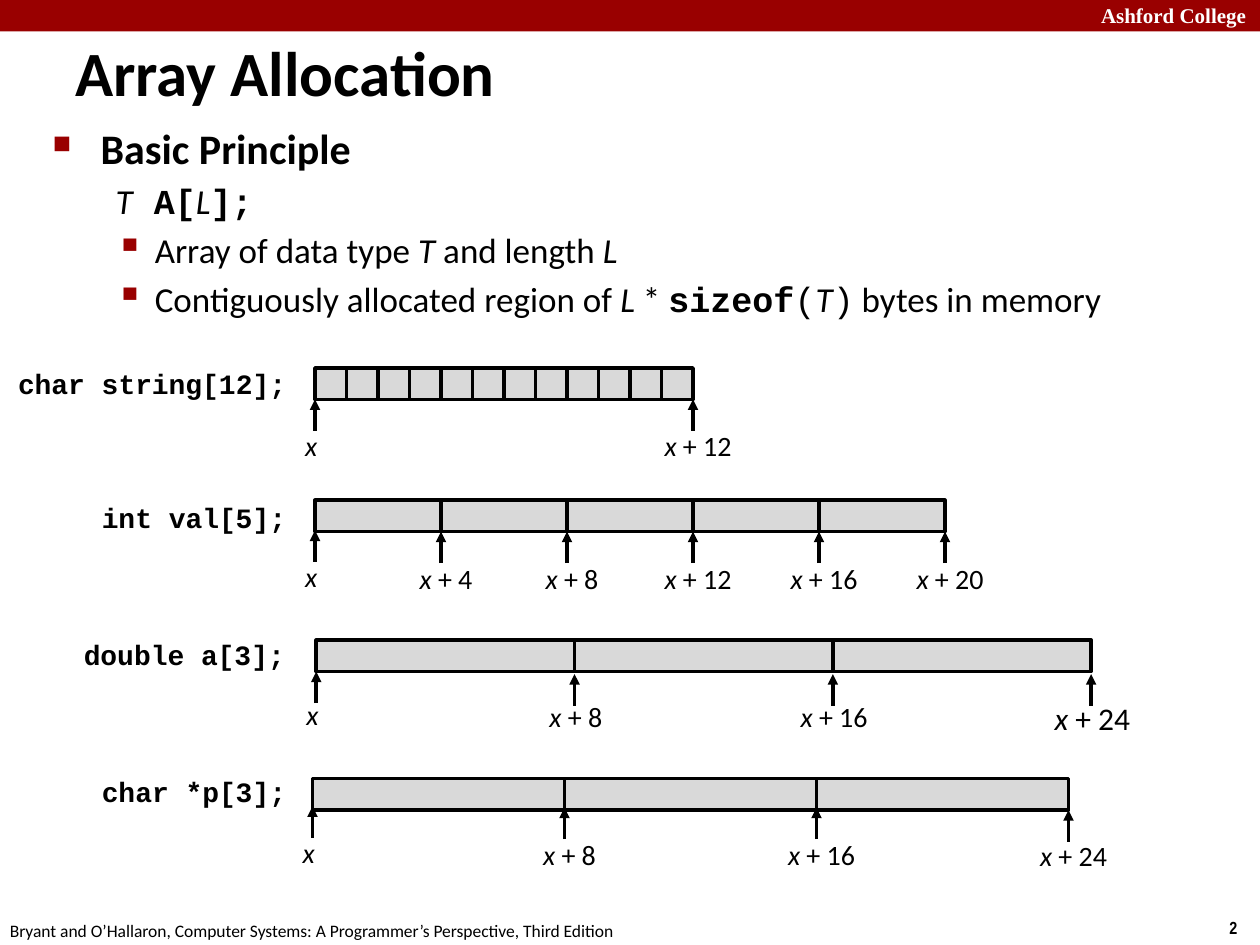
from lxml.etree import SubElement
from pptx import Presentation
from pptx.dml.color import RGBColor
from pptx.enum.shapes import MSO_CONNECTOR as CONNECTOR, MSO_SHAPE as SHAPE
from pptx.enum.text import MSO_ANCHOR as ANCHOR, MSO_AUTO_SIZE as AUTO_SIZE, PP_ALIGN as ALIGN
from pptx.oxml.ns import qn
from pptx.util import Pt

PX = 9144
RED = RGBColor(0x99, 0x00, 0x00)
GRAY = RGBColor(0xD9, 0xD9, 0xD9)
BLACK = RGBColor(0, 0, 0)
WHITE = RGBColor(255, 255, 255)
SANS, CODE, SERIF, NARROW = "Calibri", "Courier New", "Times New Roman", "Arial Narrow"
ITALIC = {"italic": True}
BOLD_CODE = {"font": CODE, "bold": True}
PLAIN_CODE = {"font": CODE}
CELL_HEIGHT = 25
ARROW_LENGTH = 25


def px(*lengths):
    return [length * PX for length in lengths]


def add_runs(paragraph, runs, size, font=SANS, color=BLACK, bold=False, italic=False):
    for text, style in runs:
        run = paragraph.add_run()
        run.text = text
        run.font.size = Pt(size)
        run.font.name = style.get("font", font)
        run.font.bold = style.get("bold", bold)
        run.font.italic = style.get("italic", italic)
        run.font.color.rgb = color


def add_text(shapes, box, text, align=ALIGN.LEFT, wrap=True, grow=True,
             anchor=ANCHOR.TOP, **style):
    frame = shapes.add_textbox(*px(*box)).text_frame
    frame.word_wrap = wrap
    frame.auto_size = AUTO_SIZE.SHAPE_TO_FIT_TEXT if grow else AUTO_SIZE.NONE
    frame.vertical_anchor = anchor
    paragraph = frame.paragraphs[0]
    paragraph.alignment = align
    runs = [(text, {})] if isinstance(text, str) else text
    add_runs(paragraph, runs, **style)
    return frame


def add_rectangle(shapes, box, fill, outlined=True):
    shape = shapes.add_shape(SHAPE.RECTANGLE, *px(*box))
    shape.shadow.inherit = False
    shape.fill.solid()
    shape.fill.fore_color.rgb = fill
    if outlined:
        shape.line.color.rgb = BLACK
        shape.line.width = Pt(2)
    else:
        shape.line.fill.background()


def add_up_arrow(shapes, x, tip):
    arrow = shapes.add_connector(CONNECTOR.STRAIGHT, *px(x, tip + ARROW_LENGTH, x, tip))
    arrow.line.color.rgb = BLACK
    arrow.line.width = Pt(2)
    properties = arrow.element.spPr
    SubElement(properties.find(qn("a:ln")), qn("a:tailEnd"), type="triangle")
    SubElement(properties, qn("a:effectLst"))


def set_indent(paragraph, margin, hanging, bullet=None, bullet_percent=100):
    properties = paragraph._p.get_or_add_pPr()
    properties.set("marL", str(margin * PX))
    properties.set("indent", str(-hanging * PX))
    if bullet:
        color = SubElement(properties, qn("a:buClr"))
        SubElement(color, qn("a:srgbClr"), val=str(RED))
        SubElement(properties, qn("a:buSzPct"), val=str(bullet_percent * 1000))
        SubElement(properties, qn("a:buChar"), char=bullet)


def draw_frame(slide, width, height):
    shapes = slide.shapes
    add_rectangle(shapes, (0, 0, width, 25), RED, outlined=False)
    add_text(shapes, (width - 136, -3, 143, 30), "Ashford College",
             size=12, font=SERIF, color=WHITE, bold=True)
    add_text(shapes, (width - 34, height - 27, 34, 27), "2",
             wrap=False, size=10, font=NARROW, bold=True)
    add_text(shapes, (-2, height - 25, 508, 27),
             "Bryant and O’Hallaron, Computer Systems: A Programmer’s Perspective, Third Edition",
             wrap=False, size=10)
    add_text(shapes, (50, 25, 650, 63), "Array Allocation",
             grow=False, anchor=ANCHOR.MIDDLE, size=36, bold=True)


def draw_principle(slide, box):
    frame = add_text(slide.shapes, box, "Basic Principle", grow=False, size=24, bold=True)
    heading = frame.paragraphs[0]
    heading.space_before = Pt(5)
    set_indent(heading, 38, 38, "■", 60)
    details = [
        (None, [("T", ITALIC), (" A[", BOLD_CODE), ("L", ITALIC), ("];", BOLD_CODE)]),
        ("▪", [("Array of data type ", {}), ("T", ITALIC),
               (" and length ", {}), ("L", ITALIC)]),
        ("▪", [("Contiguously allocated region of ", {}), ("L", ITALIC), (" * ", {}),
               ("sizeof", BOLD_CODE), ("(", PLAIN_CODE), ("T", ITALIC),
               (")", PLAIN_CODE), (" bytes in memory", {})]),
    ]
    for bullet, runs in details:
        paragraph = frame.add_paragraph()
        paragraph.level = 1
        paragraph.space_before = Pt(4)
        set_indent(paragraph, 81, 31, bullet, 110)
        add_runs(paragraph, runs, size=20)


def draw_array(slide, left, top, declaration, declaration_box, cells, cell_width,
               marks, step, arrow_drops, label_drops, label_shift=4, last_size=16):
    add_text(slide.shapes, declaration_box, declaration, align=ALIGN.RIGHT, wrap=False,
             size=16, font=CODE, bold=True)
    shapes = slide.shapes.add_group_shape().shapes
    for cell in range(cells):
        add_rectangle(shapes, (left + cell * cell_width, top, cell_width, CELL_HEIGHT), GRAY)
    for mark, arrow_drop, label_drop in zip(marks, arrow_drops, label_drops):
        x = left + mark * cell_width
        add_up_arrow(shapes, x, top + arrow_drop)
        runs = [("x", ITALIC)]
        width, shift = 44, -3
        if mark:
            runs.append((f" + {mark * step}", {}))
            width, shift = 108, label_shift
        add_text(shapes, (x + shift - width // 2, top + label_drop, width, 37), runs,
                 align=ALIGN.CENTER, size=last_size if mark == cells else 16)


def main():
    presentation = Presentation()
    presentation.slide_width, presentation.slide_height = px(1000, 750)
    slide = presentation.slides.add_slide(presentation.slide_layouts[6])
    draw_frame(slide, 1000, 750)
    draw_principle(slide, (32, 92, 909, 177))
    draw_array(slide, 250, 292, "char string[12];", (3, 286, 234, 37), 12, 25,
               (0, 12), 1, (25, 25), (43, 43))
    draw_array(slide, 250, 397, "int val[5];", (70, 392, 167, 37), 5, 100,
               range(6), 4, (24, 25, 25, 25, 25, 25), (42, 44, 44, 44, 44, 44))
    draw_array(slide, 251, 508, "double a[3];", (56, 501, 180, 37), 3, 205,
               range(4), 8, (25, 27, 27, 27), (41, 42, 42, 42),
               label_shift=1, last_size=18)
    draw_array(slide, 248, 618, "char *p[3];", (70, 610, 167, 37), 3, 200,
               range(4), 8, (22, 23, 23, 25), (40, 42, 42, 43))
    presentation.save("out.pptx")


if __name__ == "__main__":
    main()
